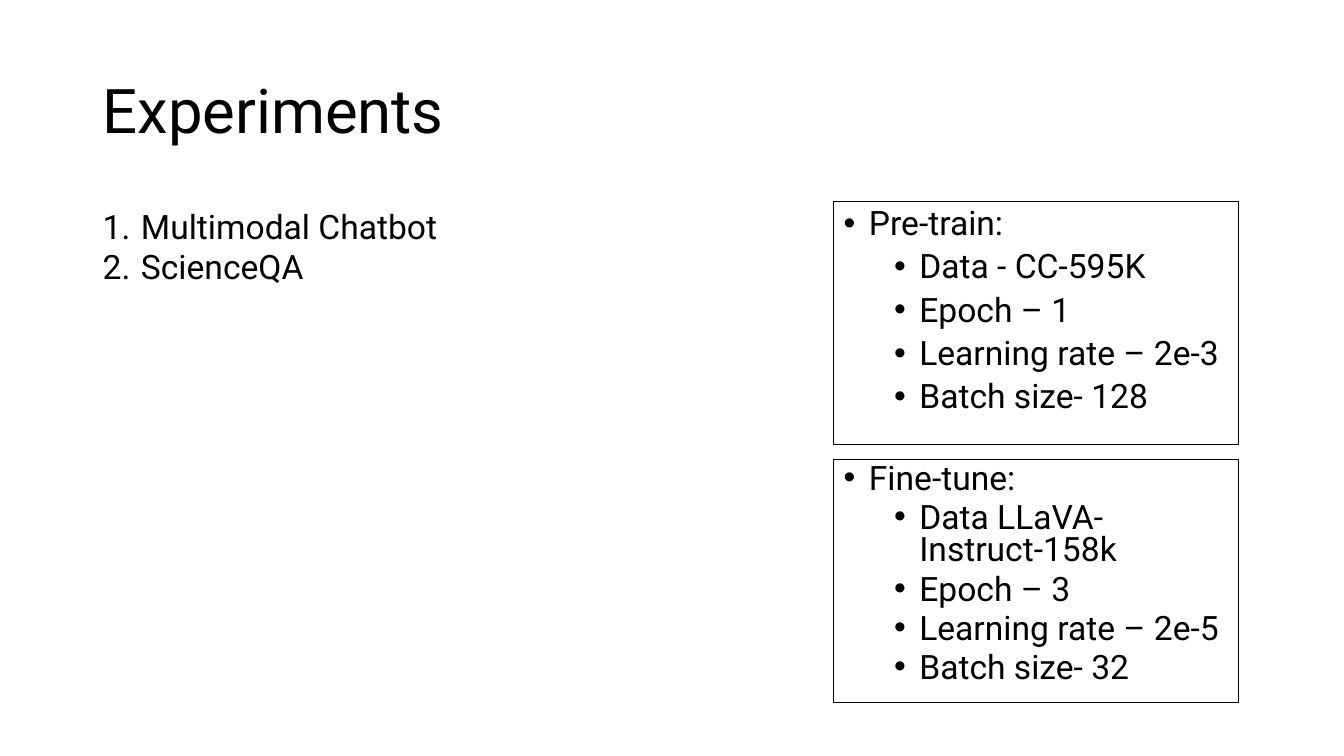
from lxml import etree
from pptx import Presentation
from pptx import util as u
from pptx.dml.color import RGBColor
from pptx.enum import shapes, text
from pptx.oxml.ns import qn

COLORS = {"ink": "000000", "paper": "FFFFFF"}


class ExperimentSlide:
    font = {"name": "Roboto"}
    margins = {"left": 0.1, "right": 0.1, "top": 0.05, "bottom": 0.05}

    def __init__(self, deck):
        self.deck = deck
        self.slide = deck.slides.add_slide(deck.slide_layouts[6])
        backdrop = self.slide.background.fill
        backdrop.solid()
        backdrop.fore_color.rgb = RGBColor.from_string(COLORS["paper"])

    def place(self, left, top, width, height):
        across, down = self.deck.slide_width, self.deck.slide_height
        return [int(share * side / 100) for share, side in
                zip((left, top, width, height), (across, down, across, down))]

    def frame(self, holder, anchor):
        body = holder.text_frame
        body.word_wrap = True
        body.vertical_anchor = anchor
        for side, inches in self.margins.items():
            setattr(body, f"margin_{side}", u.Inches(inches))
        return body

    def add_lines(self, body, lines, size, layouts, marker=None, indents=(0, 0), hang=0):
        for number, (level, wording) in enumerate(lines):
            line = body.add_paragraph() if number else body.paragraphs[0]
            for key, value in {"level": level, "alignment": text.PP_ALIGN.LEFT,
                               **layouts[level]}.items():
                setattr(line, key, value)
            run = line.add_run()
            run.text = wording
            for key, value in {**self.font, "size": u.Pt(size)}.items():
                setattr(run.font, key, value)
            run.font.color.rgb = RGBColor.from_string(COLORS["ink"])
            if marker:
                self.mark(line, marker, indents[level], hang)

    def mark(self, line, marker, indent, hang):
        props = line._p.get_or_add_pPr()
        props.set("marL", str(u.Inches(indent)))
        props.set("indent", str(-u.Inches(hang)))
        tag, attributes = marker
        if tag == "a:buChar":
            etree.SubElement(props, qn("a:buFont")).set("typeface", "Arial")
        bullet = etree.SubElement(props, qn(tag))
        for key, value in attributes.items():
            bullet.set(key, value)

    def title(self, wording, *spot):
        heading = self.slide.shapes.add_textbox(*self.place(*spot))
        body = self.frame(heading, text.MSO_ANCHOR.MIDDLE)
        self.add_lines(body, [(0, wording)], 44, [{"line_spacing": 0.9}])

    def numbered(self, items, *spot):
        tasks = self.slide.shapes.add_textbox(*self.place(*spot))
        body = self.frame(tasks, text.MSO_ANCHOR.TOP)
        self.add_lines(body, [(0, item) for item in items], 24, [{}],
                       ("a:buAutoNum", {"type": "arabicPeriod"}), (0.38,), 0.38)

    def panel(self, stage, settings, spacing, *spot):
        box = self.slide.shapes.add_shape(
            shapes.MSO_SHAPE.RECTANGLE, *self.place(*spot))
        box.shadow.inherit = False
        box.fill.background()
        box.line.color.rgb = RGBColor.from_string(COLORS["ink"])
        box.line.width = u.Pt(0.75)
        body = self.frame(box, text.MSO_ANCHOR.TOP)
        layouts = [{"line_spacing": spacing, "space_before": u.Pt(before)}
                   for before in (10, 5)]
        lines = [(0, stage)] + [(1, setting) for setting in settings]
        self.add_lines(body, lines, 24, layouts,
                       ("a:buChar", {"char": "•"}), (0.25, 0.75), 0.25)


def main():
    deck = Presentation()
    deck.slide_width, deck.slide_height = u.Inches(13.33), u.Inches(7.5)
    experiments = ExperimentSlide(deck)
    experiments.title("Experiments", 6.9, 5.33, 86.25, 19.33)
    stages = [
        ("Pre-train:", ["Data - CC-595K", "Epoch – 1",
                        "Learning rate – 2e-3", "Batch size- 128"], 0.9),
        ("Fine-tune:", ["Data LLaVA-Instruct-158k", "Epoch – 3",
                        "Learning rate – 2e-5", "Batch size- 32"], 0.8),
    ]
    for row, (stage, settings, spacing) in enumerate(stages):
        experiments.panel(stage, settings, spacing,
                          62.04, 26.67 + 34.13 * row, 30.15, 32.13)
    experiments.numbered(["Multimodal Chatbot", "ScienceQA"],
                         6.9, 26.53, 43.81, 16.13)
    deck.save("out.pptx")


if __name__ == "__main__":
    main()
